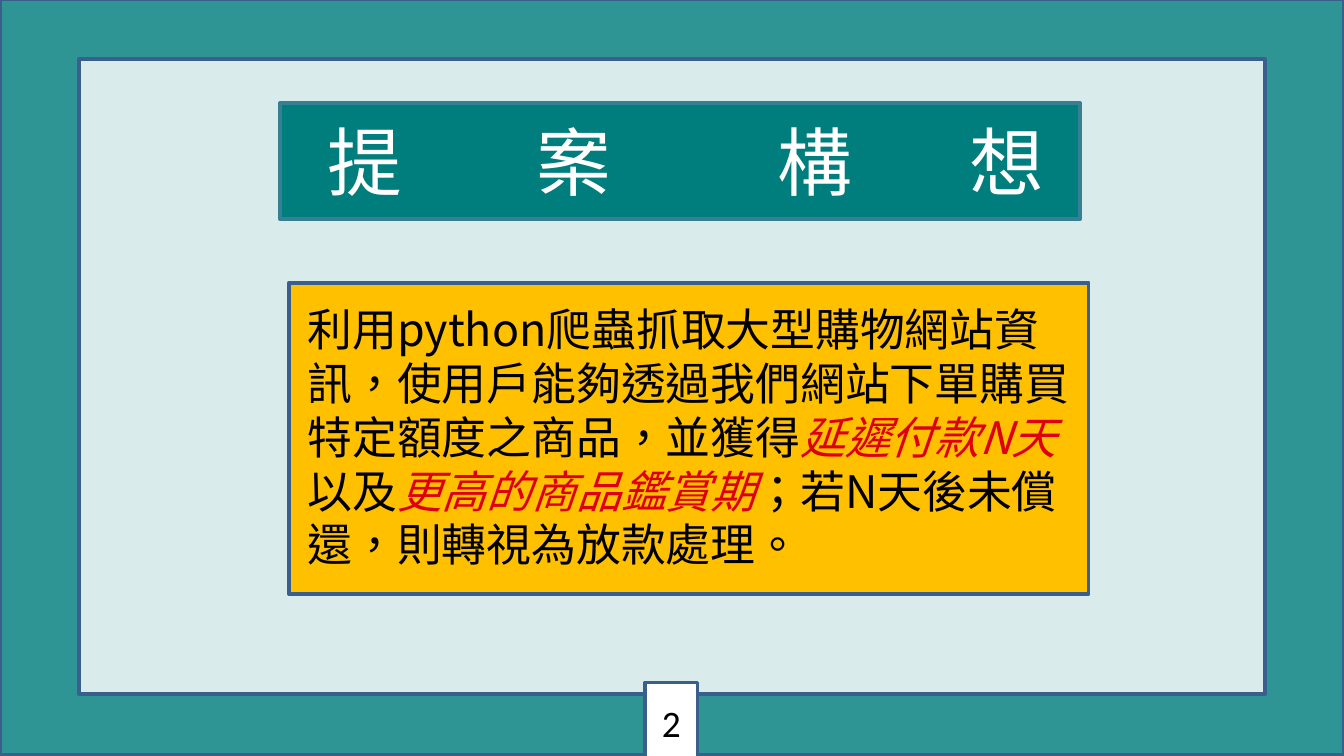
from dataclasses import dataclass
from typing import Optional

from lxml.etree import SubElement
from pptx import Presentation
from pptx.dml.color import RGBColor
from pptx.enum.shapes import MSO_SHAPE
from pptx.enum.text import MSO_ANCHOR, MSO_AUTO_SIZE, PP_ALIGN
from pptx.oxml.ns import qn
from pptx.util import Inches, Pt

SLIDE_WIDTH = Inches(10)
SLIDE_HEIGHT = SLIDE_WIDTH * 9 // 16
TEAL = RGBColor(0x00, 0x7D, 0x7D)
TEAL_EDGE = RGBColor(0x37, 0x7F, 0x92)
BLUE_EDGE = RGBColor(0x3A, 0x5F, 0x8C)
AMBER = RGBColor(0xFF, 0xC0, 0x00)
WHITE = RGBColor(0xFF, 0xFF, 0xFF)
BLACK = RGBColor(0x00, 0x00, 0x00)
RED = RGBColor(0xDC, 0x00, 0x10)
CJK_FONT = "Noto Sans CJK SC"

HEADING = "提\t案\t構\t想"
HEADING_STOPS = (1.56, 3.35, 4.78)


@dataclass(frozen=True)
class Area:
    """A rectangle in percent of the slide's width and height."""
    left: float
    top: float
    width: float
    height: float

    def place(self, shape) -> None:
        """Move and size a shape to this area."""
        shape.left = int(self.left * SLIDE_WIDTH / 100)
        shape.top = int(self.top * SLIDE_HEIGHT / 100)
        shape.width = int(self.width * SLIDE_WIDTH / 100)
        shape.height = int(self.height * SLIDE_HEIGHT / 100)


@dataclass(frozen=True)
class Panel:
    """A filled rectangle with a border."""
    area: Area
    fill: RGBColor
    opacity: Optional[int] = None


@dataclass(frozen=True)
class Phrase:
    """A stretch of the proposal, stressed or plain."""
    text: str
    stressed: bool = False


BACKDROP = Panel(Area(0, -0.1, 100, 100), TEAL, 82)
SHEET = Panel(Area(5.9, 7.8, 88.2, 84), WHITE, 82)
PROPOSAL_CARD = Panel(Area(21.5, 37.4, 59.5, 41.2), AMBER)
NUMBER_TAB = Panel(Area(48, 90.3, 3.9, 10.5), WHITE)
PROPOSAL_AREA = Area(21.9, 39.1, 58.7, 37.7)
HEADING_AREA = Area(20.85, 13.6, 59.5, 15.4)

PROPOSAL = (
    Phrase("利用python爬蟲抓取大型購物網站資訊，使用戶能夠透過我們網站下單購買特定額度之商品，並獲得"),
    Phrase("延遲付款N天", True),
    Phrase("以及"),
    Phrase("更高的商品鑑賞期", True),
    Phrase("；若N天後未償還，則轉視為放款處理。"),
)


def paint(shape, fill: RGBColor, edge: RGBColor) -> None:
    """Give a shape its fill and border."""
    shape.fill.solid()
    shape.fill.fore_color.rgb = fill
    shape.line.color.rgb = edge
    shape.line.width = Pt(2)


def add_panel(slide, panel: Panel):
    """Draw a panel and return its shape."""
    shape = slide.shapes.add_shape(MSO_SHAPE.RECTANGLE, 0, 0, 0, 0)
    panel.area.place(shape)
    shape.shadow.inherit = False
    paint(shape, panel.fill, BLUE_EDGE)
    if panel.opacity is not None:
        color = shape.element.spPr.find(qn("a:solidFill"))[0]
        SubElement(color, qn("a:alpha")).set("val", str(panel.opacity * 1000))
    return shape


def style_run(run, size: int, color: RGBColor, font: str = CJK_FONT) -> None:
    """Set a run's size, colour, language and typeface for all scripts."""
    run.font.size = Pt(size)
    run.font.color.rgb = color
    run.font.name = font
    properties = run._r.get_or_add_rPr()
    properties.set("lang", "zh-TW")
    SubElement(properties, qn("a:ea")).set("typeface", font)


def add_proposal(slide) -> None:
    """Write the proposal with its stressed phrases."""
    box = slide.shapes.add_textbox(0, 0, 0, 0)
    PROPOSAL_AREA.place(box)
    box.text_frame.word_wrap = True
    box.text_frame.auto_size = MSO_AUTO_SIZE.SHAPE_TO_FIT_TEXT
    paragraph = box.text_frame.paragraphs[0]
    for phrase in PROPOSAL:
        run = paragraph.add_run()
        run.text = phrase.text
        style_run(run, 24, RED if phrase.stressed else BLACK)
        run.font.italic = phrase.stressed


def add_number(slide, number: int) -> None:
    """Draw the page number tab."""
    frame = add_panel(slide, NUMBER_TAB).text_frame
    frame.text = str(number)
    frame.vertical_anchor = MSO_ANCHOR.MIDDLE
    frame.paragraphs[0].alignment = PP_ALIGN.CENTER
    style_run(frame.paragraphs[0].runs[0], 20, BLACK, "Calibri")


def format_heading(title) -> None:
    """Bring the title to the front and space its characters with tab stops."""
    title.element.getparent().append(title.element)
    HEADING_AREA.place(title)
    paint(title, TEAL, TEAL_EDGE)
    frame = title.text_frame
    frame.text = HEADING
    frame.auto_size = MSO_AUTO_SIZE.NONE
    frame.vertical_anchor = MSO_ANCHOR.MIDDLE
    frame.margin_left = Inches(0.35)
    paragraph = frame.paragraphs[0]
    paragraph.alignment = PP_ALIGN.LEFT
    stops = SubElement(paragraph._p.get_or_add_pPr(), qn("a:tabLst"))
    for position in HEADING_STOPS:
        stop = SubElement(stops, qn("a:tab"))
        stop.set("pos", str(Inches(position)))
        stop.set("algn", "l")
    for run in paragraph.runs:
        style_run(run, 40, WHITE)


def main() -> None:
    """Build the proposal slide."""
    deck = Presentation()
    deck.slide_width, deck.slide_height = SLIDE_WIDTH, SLIDE_HEIGHT
    slide = deck.slides.add_slide(deck.slide_layouts[5])
    for panel in (BACKDROP, SHEET, PROPOSAL_CARD):
        add_panel(slide, panel)
    add_proposal(slide)
    add_number(slide, 2)
    format_heading(slide.shapes.title)
    deck.save("out.pptx")


if __name__ == "__main__":
    main()
